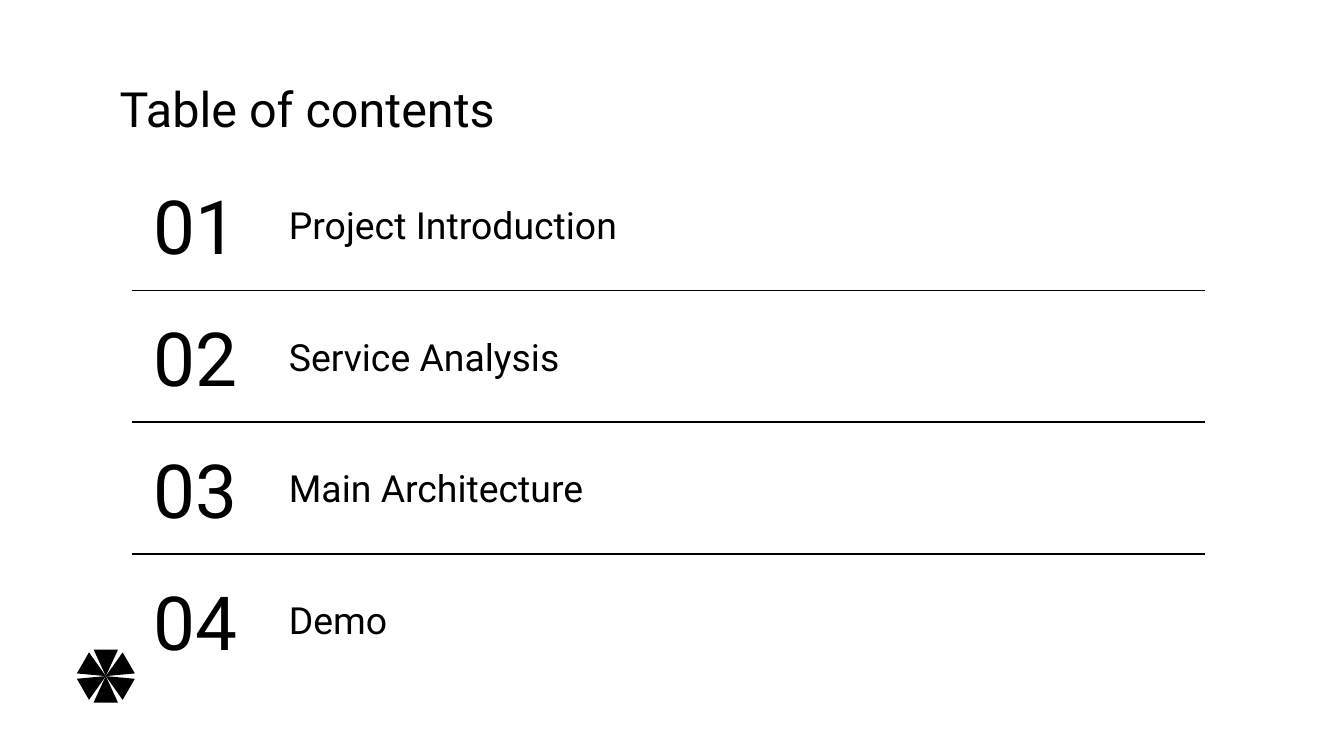
from math import cos, radians, sin

from lxml.etree import SubElement
from pptx import Presentation
from pptx.dml.color import RGBColor
from pptx.enum.shapes import MSO_CONNECTOR, MSO_SHAPE
from pptx.enum.text import MSO_ANCHOR, MSO_AUTO_SIZE, PP_ALIGN
from pptx.oxml.ns import qn
from pptx.util import Cm, Pt

TITLE = "Table of contents"
ITEMS = ["Project Introduction", "Service Analysis", "Main Architecture", "Demo"]


class Theme:
    font = "Roboto"
    ink = RGBColor(0, 0, 0)
    paper = RGBColor(255, 255, 255)
    title, number, label = Pt(26), Pt(40), Pt(20)
    rule = Pt(0.75)


PITCH = 2.49  # row to row, cm
NUMBER = (2.62, 3.2, 2.16, 2.11)  # first row: left, top, width, height
LABEL = (5.21, 3.7, 11.79, 1.09)
RULE = (2.49, 22.78, 5.49)  # left, right, first height
STAR = (2, 12.78, 0.25)  # centre x, centre y, reach
PETAL = (0.46, 0.5)


def write(shape, text, size, align=PP_ALIGN.LEFT, anchor=MSO_ANCHOR.MIDDLE):
    frame = shape.text_frame
    frame.text = text
    frame.word_wrap = True
    frame.auto_size = MSO_AUTO_SIZE.NONE
    frame.vertical_anchor = anchor
    frame.margin_left = frame.margin_right = Cm(0.25)
    frame.margin_top = frame.margin_bottom = Cm(0.25)
    para = frame.paragraphs[0]
    para.alignment = align
    para.font.name, para.font.size = Theme.font, size
    para.font.color.rgb = Theme.ink


def add_row(slide, row, text):
    drop = row * PITCH
    for box, words, size, align in (
        (NUMBER, f"{row + 1:02}", Theme.number, PP_ALIGN.CENTER),
        (LABEL, text, Theme.label, PP_ALIGN.LEFT),
    ):
        left, top, width, height = box
        shape = slide.shapes.add_textbox(
            Cm(left), Cm(top + drop), Cm(width), Cm(height))
        write(shape, words, size, align)


def add_rule(slide, row):
    left, right, top = RULE
    y = Cm(top + row * PITCH)
    line = slide.shapes.add_connector(
        MSO_CONNECTOR.STRAIGHT, Cm(left), y, Cm(right), y)
    line.line.color.rgb = Theme.ink
    line.line.width = Theme.rule
    SubElement(line._element.spPr, qn("a:effectLst"))


def add_star(slide):
    """Six triangles whose tips meet at one centre."""
    x, y, reach = STAR
    wide, high = PETAL
    group = slide.shapes.add_group_shape()
    for turn in range(0, 360, 60):
        left = x - reach * sin(radians(turn)) - wide / 2
        top = y + reach * cos(radians(turn)) - high / 2
        petal = group.shapes.add_shape(
            MSO_SHAPE.ISOSCELES_TRIANGLE, Cm(left), Cm(top), Cm(wide), Cm(high))
        petal.rotation = turn
        petal.shadow.inherit = False
        petal.fill.solid()
        petal.fill.fore_color.rgb = Theme.ink
        petal.line.fill.background()


def main():
    deck = Presentation()
    deck.slide_width, deck.slide_height = Cm(25.4), Cm(14.29)
    slide = deck.slides.add_slide(deck.slide_layouts[5])
    slide.background.fill.solid()
    slide.background.fill.fore_color.rgb = Theme.paper

    title = slide.shapes.title
    title.left, title.top = Cm(2.01), Cm(1.24)
    title.width, title.height = Cm(21.41), Cm(1.6)
    write(title, TITLE, Theme.title, anchor=MSO_ANCHOR.TOP)

    for row, text in enumerate(ITEMS):
        add_row(slide, row, text)
    for row in range(len(ITEMS) - 1):
        add_rule(slide, row)
    add_star(slide)
    deck.save("out.pptx")


if __name__ == "__main__":
    main()
